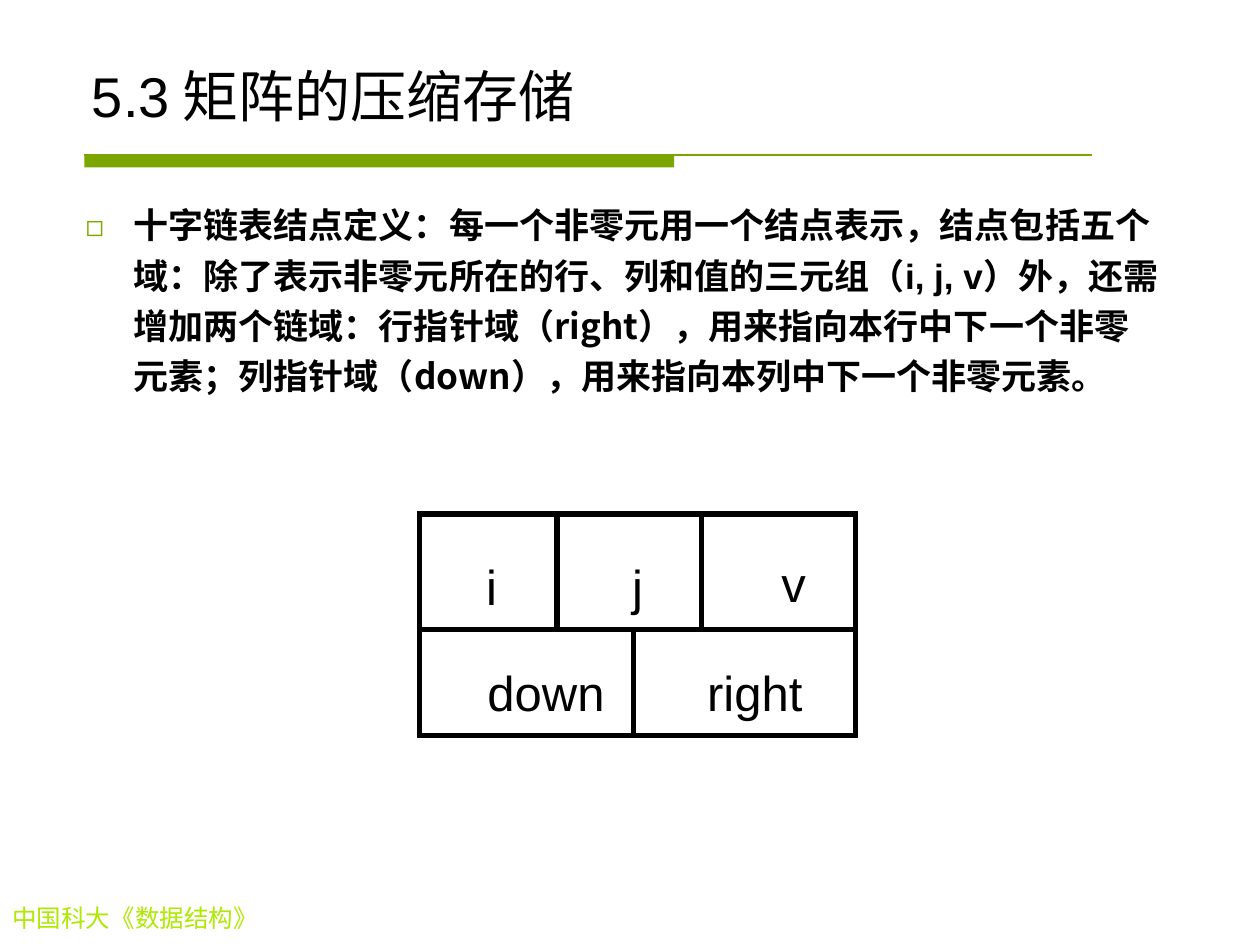
"""Build the slide on the node of an orthogonal linked list."""
from lxml.etree import SubElement
from pptx import Presentation
from pptx.dml.color import RGBColor
from pptx.enum.shapes import MSO_CONNECTOR, MSO_SHAPE
from pptx.enum.text import MSO_ANCHOR, MSO_AUTO_SIZE, PP_ALIGN
from pptx.oxml.ns import qn
from pptx.util import Inches, Pt

COLORS = {"ink": "000000", "rule": "7BA600", "bullet": "7CA800", "footer": "ADEA00"}
LATIN, CJK, SERIF = "Arial", "Noto Sans CJK SC", "Times New Roman"

TITLE = [("5.3", LATIN), (" 矩阵的压缩存储", CJK)]
BODY = [
    ("十字链表结点定义：每一个非零元用一个结点表示，结点包括五个域：除了表示非零元所在的行、列和值的三元组", CJK),
    ("（i, j, v）", LATIN),
    ("外，还需增加两个链域：行指针域（right），用来指向本行中下一个非零元素；"
     "列指针域（down），用来指向本列中下一个非零元素。", CJK),
]
FOOTER = [("中国科大《数据结构》", SERIF)]

NODE = (3.33, 4.08, 3.46, 1.76)
ROW_EDGES = (0, 0.52, 1)
DIVIDERS = [(0.315, 0.647), (0.491,)]
FIELDS = [
    ("i", 0.165, 0.325), ("j", 0.5, 0.325), ("v", 0.858, 0.31),
    ("down", 0.29, 0.805), ("right", 0.769, 0.805),
]
LABEL_SIZE = (1.13, 0.57)

FRAMES = {
    "title": {"word_wrap": True, "auto_size": MSO_AUTO_SIZE.NONE,
              "vertical_anchor": MSO_ANCHOR.BOTTOM},
    "body": {"word_wrap": True, "auto_size": MSO_AUTO_SIZE.NONE,
             "vertical_anchor": MSO_ANCHOR.TOP},
    "footer": {"word_wrap": True},
    "field": {"word_wrap": False},
}
PARAGRAPHS = {
    "title": {"alignment": PP_ALIGN.LEFT},
    "body": {"alignment": PP_ALIGN.LEFT, "line_spacing": 1.2, "space_before": Pt(0)},
    "footer": {"alignment": PP_ALIGN.LEFT},
    "field": {"alignment": PP_ALIGN.CENTER},
}
FONTS = {
    "title": {"size": Pt(32), "bold": False},
    "body": {"size": Pt(20), "bold": True},
    "footer": {"size": Pt(14)},
    "field": {"size": Pt(28)},
}


def apply(target, values):
    for name, value in values.items():
        setattr(target, name, value)


def rgb(role):
    return RGBColor.from_string(COLORS[role])


def place(holder, left, top, width, height):
    apply(holder, {"left": Inches(left), "top": Inches(top),
                   "width": Inches(width), "height": Inches(height)})


def write(holder, pieces, role, color="ink"):
    apply(holder.text_frame, FRAMES[role])
    paragraph = holder.text_frame.paragraphs[0]
    apply(paragraph, PARAGRAPHS[role])
    for words, face in pieces:
        run = paragraph.add_run()
        run.text = words
        apply(run.font, FONTS[role] | {"name": face})
        run.font.color.rgb = rgb(color)
        SubElement(run.font._element, qn("a:ea"), typeface=CJK)
    return paragraph


def add_bullet(paragraph, char):
    properties = paragraph._p.get_or_add_pPr()
    properties.set("marL", str(Inches(0.38)))
    properties.set("indent", str(-Inches(0.38)))
    tint = SubElement(properties, qn("a:buClr"))
    SubElement(tint, qn("a:srgbClr"), val=COLORS["bullet"])
    SubElement(properties, qn("a:buSzPct"), val="85000")
    SubElement(properties, qn("a:buFont"), typeface=CJK)
    SubElement(properties, qn("a:buChar"), char=char)


def add_line(slide, start, end, color, weight):
    ends = [Inches(value) for value in (*start, *end)]
    line = slide.shapes.add_connector(MSO_CONNECTOR.STRAIGHT, *ends)
    line.line.color.rgb = rgb(color)
    line.line.width = Pt(weight)
    SubElement(line._element.spPr, qn("a:effectLst"))


def add_box(slide, bounds):
    box = slide.shapes.add_shape(MSO_SHAPE.RECTANGLE, *map(Inches, bounds))
    box.shadow.inherit = False
    return box


def add_text(slide, bounds, pieces, role, color="ink"):
    write(slide.shapes.add_textbox(*map(Inches, bounds)), pieces, role, color)


def add_rule(slide):
    bar = add_box(slide, (0.67, 1.23, 4.68, 0.1))
    bar.fill.solid()
    bar.fill.fore_color.rgb = rgb("rule")
    bar.line.fill.background()
    add_line(slide, (0.67, 1.23), (8.67, 1.23), "rule", 0.75)


def add_node(slide):
    left, top, width, height = NODE

    def at(across, down):
        return left + across * width, top + down * height

    outline = add_box(slide, NODE)
    outline.fill.background()
    outline.line.color.rgb = rgb("ink")
    outline.line.width = Pt(3)
    SubElement(outline.line._get_or_add_ln(), qn("a:miter"), lim="800000")
    add_line(slide, at(0, ROW_EDGES[1]), at(1, ROW_EDGES[1]), "ink", 3)
    for upper, lower, shares in zip(ROW_EDGES, ROW_EDGES[1:], DIVIDERS):
        for share in shares:
            add_line(slide, at(share, upper), at(share, lower), "ink", 3)
    label_width, label_height = LABEL_SIZE
    for field, across, down in FIELDS:
        x, y = at(across, down)
        bounds = (x - label_width / 2, y - label_height / 2, label_width, label_height)
        add_text(slide, bounds, [(field, LATIN)], "field")


def main():
    deck = Presentation()
    apply(deck, {"slide_width": Inches(10), "slide_height": Inches(7.5)})
    slide = deck.slides.add_slide(deck.slide_layouts[1])
    add_rule(slide)
    add_text(slide, (0, 7.12, 3.11, 0.34), FOOTER, "footer", "footer")
    title, body = slide.placeholders
    place(title, 0.63, 0.33, 8.75, 0.74)
    write(title, TITLE, "title")
    place(body, 0.58, 1.5, 8.75, 2.03)
    add_bullet(write(body, BODY, "body"), "◻")
    add_node(slide)
    deck.save("out.pptx")


if __name__ == "__main__":
    main()
